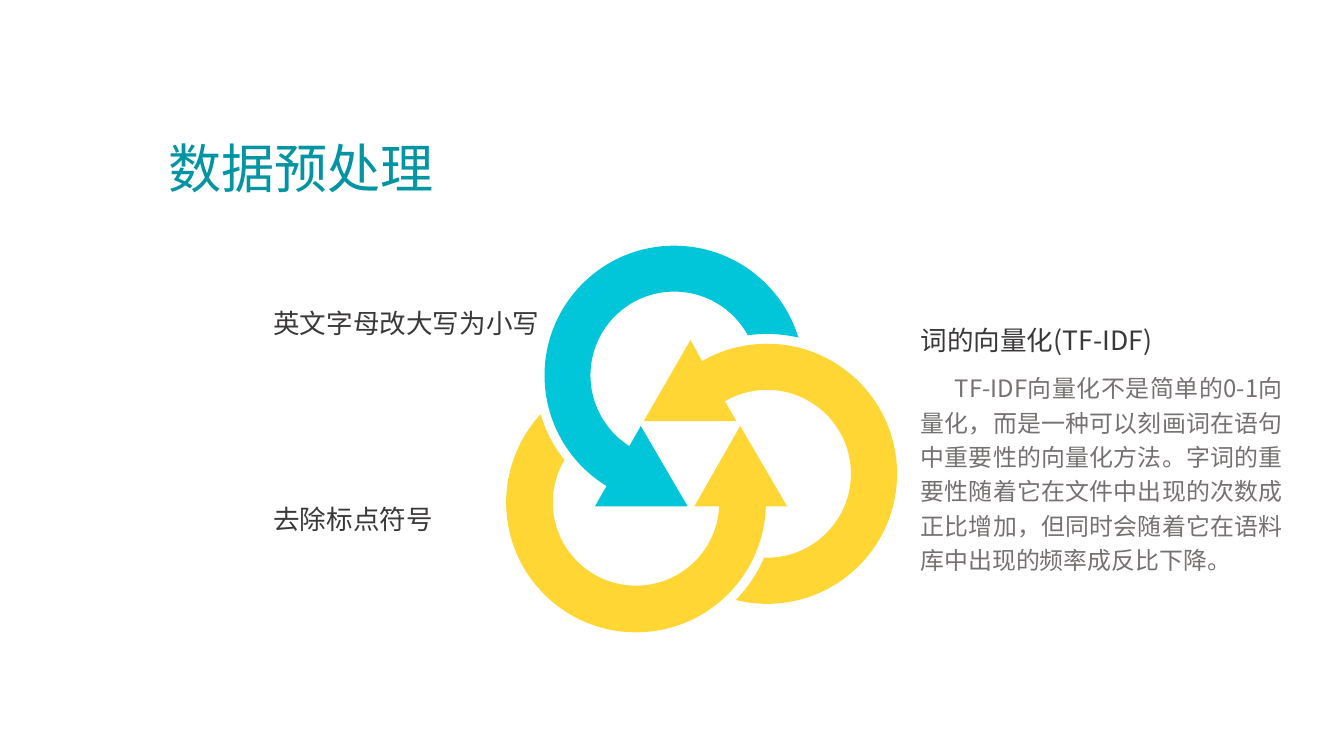
from collections import namedtuple
from math import atan2, cos, dist, floor, pi, sin, tan

from lxml import etree
from pptx import Presentation
from pptx.dml.color import RGBColor
from pptx.enum.text import MSO_ANCHOR, MSO_AUTO_SIZE, PP_ALIGN
from pptx.oxml.ns import qn
from pptx.util import Inches, Pt

WIDTH, HEIGHT = 14.06, 7.91
CJK = "Noto Sans CJK SC"
DARK, GREY, TEAL = "3B3838", "767171", "0194A3"
CYAN, YELLOW = "01C6D9", "FFD633"

# Points are inches from the corner of the knot; tail and neck are (outer, inner)
Arrow = namedtuple("Arrow", "color center tail neck head")
ARROWS = [
    Arrow(CYAN, (1.76, 1.36), ((3.06, 0.97), (2.53, 0.94)),
          ((1.05, 2.52), (1.29, 2.1)), [(0.93, 2.73), (1.9, 2.73), (1.41, 1.89)]),
    Arrow(YELLOW, (2.73, 2.39), ((2.4, 3.71), (2.7, 3.27)),
          ((2.05, 1.21), (2.29, 1.63)), [(1.93, 0.99), (1.44, 1.84), (2.41, 1.84)]),
    Arrow(YELLOW, (1.36, 2.69), ((0.36, 1.77), (0.6, 2.24)),
          ((2.72, 2.73), (2.23, 2.73)), [(2.94, 2.73), (2.45, 1.89), (1.97, 2.73)]),
]


def rgb(color):
    return RGBColor.from_string(color)


def share(left, top, width, height):
    """Turn percentages of the slide into a box in inches."""
    return (left * WIDTH / 100, top * HEIGHT / 100,
            width * WIDTH / 100, height * HEIGHT / 100)


def write(slide, box, words, size, color, font=CJK, first_indent=0):
    frame = slide.shapes.add_textbox(*map(Inches, box)).text_frame
    frame.word_wrap = True
    frame.auto_size = MSO_AUTO_SIZE.SHAPE_TO_FIT_TEXT
    frame.margin_left = frame.margin_right = 0
    frame.margin_top = frame.margin_bottom = 0
    paragraph = frame.paragraphs[0]
    paragraph.text = words
    paragraph.font.size = Pt(size)
    paragraph.font.name = font
    paragraph.font.color.rgb = rgb(color)
    if first_indent:
        paragraph._p.get_or_add_pPr().set("indent", str(Inches(first_indent)))
    return frame, paragraph


def add_title(slide, box, words):
    frame, _ = write(slide, box, words, 40, TEAL, "Arial")
    frame.vertical_anchor = MSO_ANCHOR.MIDDLE


def add_step(slide, box, words, size=20, color=DARK, first_indent=0):
    _, paragraph = write(slide, box, words, size, color, first_indent=first_indent)
    paragraph.alignment = PP_ALIGN.JUSTIFY
    paragraph.line_spacing = 1.2
    paragraph.space_before = Pt(10)


def arc(center, start, end, clockwise):
    """Bezier segments around center, split where the circle meets its axes."""
    (cx, cy), radius = center, dist(center, start)
    first, last = (atan2(y - cy, x - cx) for x, y in (start, end))
    if clockwise:
        last = first + (last - first) % (2 * pi)
    else:
        last = first - (first - last) % (2 * pi)
    low, high = sorted((first, last))
    axes = [n * pi / 2 for n in range(floor(low / (pi / 2)) + 1,
                                      floor(high / (pi / 2)) + 1)]
    stops = sorted([low, *axes, high], reverse=not clockwise)

    def at(angle, pull=0):
        return (cx + radius * (cos(angle) - pull * sin(angle)),
                cy + radius * (sin(angle) + pull * cos(angle)))

    segments = []
    for a, b in zip(stops, stops[1:]):
        pull = 4 / 3 * tan((b - a) / 4)
        segments.append([at(a, pull), at(b, -pull), at(b)])
    return segments


def add_outline(shapes, start, segments):
    """Draw a closed outline; a segment is [end] or [control, control, end]."""
    builder = shapes.build_freeform(*start)
    builder.add_line_segments([segment[-1] for segment in segments], close=True)
    left, top = builder.shape_offset_x, builder.shape_offset_y
    outline = builder.convert_to_shape()
    lines = list(outline._element.iter(qn("a:lnTo")))
    for line, segment in zip(lines, segments):
        if len(segment) == 3:
            curve = etree.SubElement(line.getparent(), qn("a:cubicBezTo"))
            for x, y in segment:
                etree.SubElement(curve, qn("a:pt"), x=str(x - left), y=str(y - top))
            line.getparent().replace(line, curve)
    return outline


def add_knot(slide, box):
    """Three interlocked arrows, each cut off along the next one's ring."""
    left, top = box[:2]

    def place(point):
        return Inches(left + point[0]), Inches(top + point[1])

    knot = slide.shapes.add_group_shape()
    for index, arrow in enumerate(ARROWS):
        following = ARROWS[(index + 1) % len(ARROWS)]
        (tail_out, tail_in), (neck_out, neck_in) = arrow.tail, arrow.neck
        segments = (arc(arrow.center, tail_out, neck_out, False)
                    + [[corner] for corner in arrow.head + [neck_in]]
                    + arc(arrow.center, neck_in, tail_in, True)
                    + arc(following.center, tail_in, tail_out, True))
        ring = add_outline(knot.shapes, place(tail_out),
                           [[place(point) for point in part] for part in segments])
        ring.shadow.inherit = False
        ring.fill.solid()
        ring.fill.fore_color.rgb = rgb(arrow.color)
        ring.line.fill.background()


def main():
    deck = Presentation()
    deck.slide_width, deck.slide_height = Inches(WIDTH), Inches(HEIGHT)
    slide = deck.slides.add_slide(deck.slide_layouts[6])

    # Cleaning steps on the left
    add_step(slide, share(20.34, 39.82, 20.98, 4.68), "英文字母改大写为小写")
    add_step(slide, share(20.34, 65.74, 15.22, 4.68), "去除标点符号")

    # Arrows in the middle
    add_knot(slide, share(37.65, 32.46, 29.09, 51.2))

    add_title(slide, share(12.56, 17.95, 30.73, 8.47), "数据预处理")

    # Vectorising step on the right
    add_step(slide, share(68.49, 41.97, 21.27, 5.06), "词的向量化(TF-IDF)")
    add_step(slide, share(68.49, 48.69, 26.96, 27.56),
             "TF-IDF向量化不是简单的0-1向量化，而是一种可以刻画词在语句中重要性的"
             "向量化方法。字词的重要性随着它在文件中出现的次数成正比增加，"
             "但同时会随着它在语料库中出现的频率成反比下降。",
             18, GREY, first_indent=0.36)

    deck.save("out.pptx")


if __name__ == "__main__":
    main()
